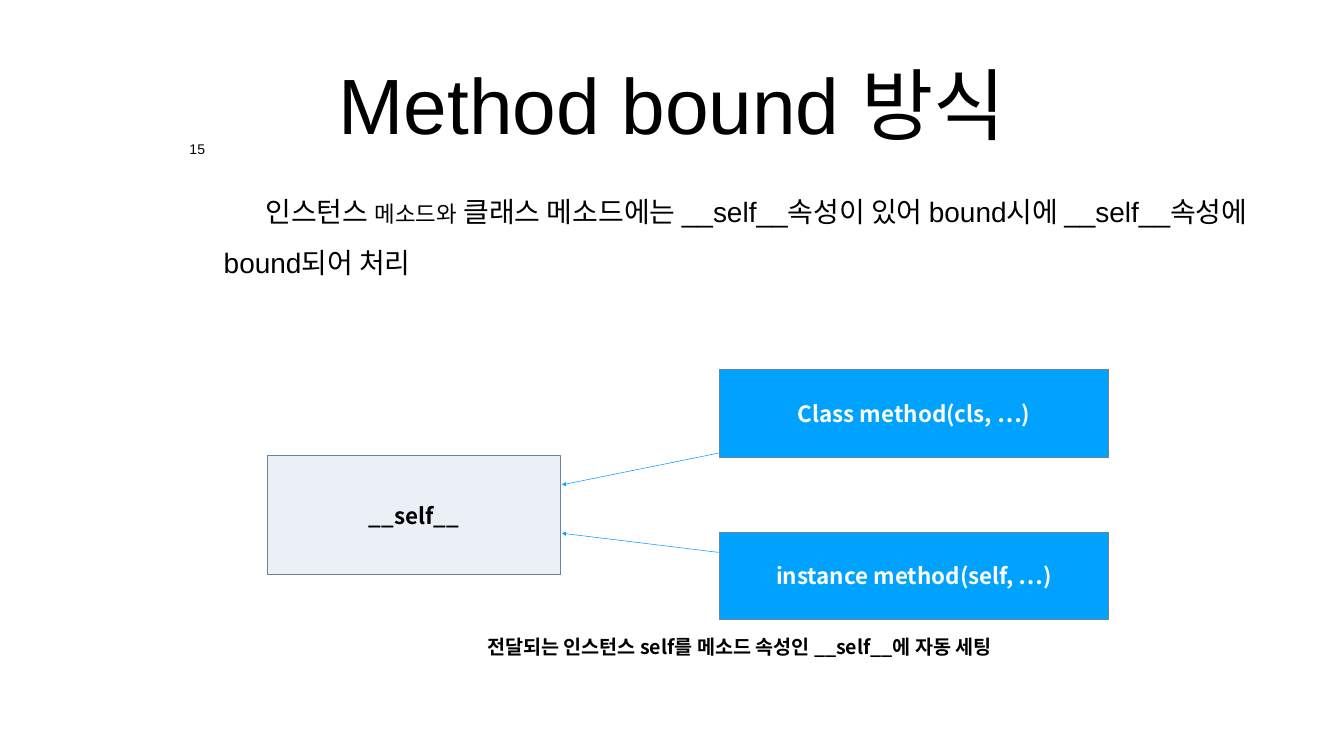
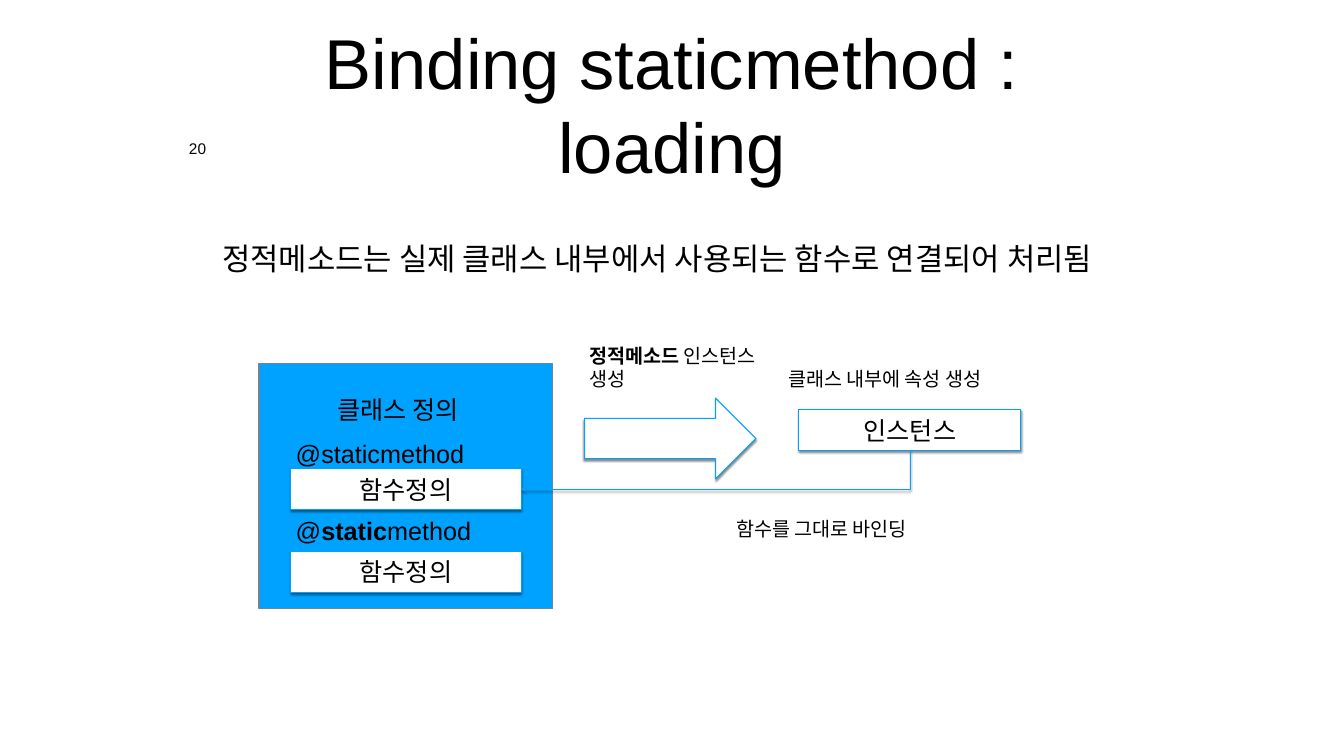
"""Build two slides on how Python methods are bound."""
from pptx import Presentation
from pptx.dml.color import RGBColor
from pptx.enum.shapes import MSO_CONNECTOR, MSO_SHAPE
from pptx.enum.text import MSO_ANCHOR, MSO_AUTO_SIZE, PP_ALIGN
from pptx.oxml import parse_xml
from pptx.oxml.ns import nsdecls, qn
from pptx.util import Pt

PX = 9144
BLUE, PALE, SLATE, BLACK, WHITE = "00A2FF", "EAF0F6", "6C8599", "000000", "FFFFFF"
SANS, KOREAN, MONO = "Arial", "Noto Sans CJK KR", "Noto Sans Mono"
NO_EFFECT = f"<a:effectLst {nsdecls('a')}/>"
SHADOW = (f"<a:effectLst {nsdecls('a')}><a:outerShdw blurRad='38100' dist='30480' dir='5400000' "
          "rotWithShape='0'><a:srgbClr val='000000'><a:alpha val='45000'/></a:srgbClr>"
          "</a:outerShdw></a:effectLst>")
color = RGBColor.from_string


def write(box, spans, size, font=SANS, ink=BLACK, bold=False, align=PP_ALIGN.LEFT,
          anchor=MSO_ANCHOR.TOP, inset=10, wrap=True):
    """Fill a box with one paragraph of (text, size, bold) spans and return it."""
    frame = box.text_frame
    frame.auto_size = MSO_AUTO_SIZE.NONE
    frame.word_wrap = wrap
    frame.vertical_anchor = anchor
    frame.margin_left = frame.margin_right = inset * PX
    frame.margin_top = frame.margin_bottom = inset * PX
    para = frame.paragraphs[0]
    para.alignment = align
    para.font.name, para.font.size, para.font.bold = font, Pt(size), bold
    para.font.color.rgb = color(ink)
    for text, span_size, span_bold in [(spans, None, None)] if isinstance(spans, str) else spans:
        span = para.add_run()
        span.text = text
        if span_size:
            span.font.size = Pt(span_size)
        if span_bold is not None:
            span.font.bold = span_bold
    return para


def add_block(page, bounds, fill, line, shadow=False, kind=MSO_SHAPE.RECTANGLE):
    """Add a filled, outlined shape and return it."""
    block = page.shapes.add_shape(kind, *[length * PX for length in bounds])
    block.shadow.inherit = False
    block.fill.solid()
    block.fill.fore_color.rgb = color(fill)
    block.line.color.rgb = color(line)
    block.line.width = Pt(1.5)
    if shadow:
        properties = block._element.spPr
        properties.replace(properties.find(qn("a:effectLst")), parse_xml(SHADOW))
    return block


deck = Presentation()
deck.slide_width, deck.slide_height = 2667 * PX, 1500 * PX

pages = []
for title, title_size, number, number_bounds, number_size in (
    ("Method bound 방식", 112, "15", (368, 278, 47, 43), 20),
    ("Binding staticmethod : loading", 100.8, "20", (367, 275, 50, 45), 22),
):
    page = deck.slides.add_slide(deck.slide_layouts[5])
    heading = page.shapes.title
    heading.left, heading.top, heading.width, heading.height = [
        length * PX for length in (480, 39, 1707, 332)]
    write(heading, title, title_size, align=PP_ALIGN.CENTER, anchor=MSO_ANCHOR.MIDDLE, inset=8)
    box = page.shapes.add_textbox(*[length * PX for length in number_bounds])
    para = write(box, number, number_size, align=PP_ALIGN.CENTER, inset=8, wrap=False)
    para.line_spacing = 0.8
    pages.append(page)
bound_page, static_page = pages

body = bound_page.shapes.add_textbox(436 * PX, 345 * PX, 2146 * PX, 308 * PX)
para = write(body, [
    ("인스턴스 ", None, None),
    ("메소드와", 32, None),
    (" 클래스 메소드에는 __self__속성이 있어 bound시에 __self__속성에 bound되어 처리", None, None),
], 40, inset=8)
para.line_spacing = 1.5
para._p.get_or_add_pPr().set("indent", str(83 * PX))

for text, bounds, fill, ink in (
    ("__self__", (530, 904, 583, 236), PALE, BLACK),
    ("Class method(cls, …)", (1428, 734, 772, 173), BLUE, WHITE),
    ("instance method(self, …)", (1428, 1056, 772, 173), BLUE, WHITE),
):
    write(add_block(bound_page, bounds, fill, SLATE), text, 32, KOREAN, ink, True,
          PP_ALIGN.CENTER, MSO_ANCHOR.MIDDLE)

caption = bound_page.shapes.add_textbox(908 * PX, 1254 * PX, 1119 * PX, 57 * PX)
write(caption, "전달되는 인스턴스 self를 메소드 속성인 __self__에 자동 세팅", 28, KOREAN,
      bold=True, align=PP_ALIGN.CENTER, inset=5)

body = static_page.shapes.add_textbox(433 * PX, 356 * PX, 1800 * PX, 299 * PX)
para = write(body, "정적메소드는 실제 클래스 내부에서 사용되는 함수로 연결되어 처리됨", 44,
             anchor=MSO_ANCHOR.MIDDLE, inset=8)
para.line_spacing = 1.2

add_block(static_page, (514, 721, 583, 486), BLUE, SLATE)
for text, bounds in (
    ("함수정의", (577, 930, 457, 81)),
    ("함수정의", (577, 1094, 457, 81)),
    ("인스턴스", (1585, 813, 441, 81)),
):
    write(add_block(static_page, bounds, WHITE, BLUE, True), text, 36, MONO,
          align=PP_ALIGN.CENTER, anchor=MSO_ANCHOR.MIDDLE)
add_block(static_page, (1160, 790, 340, 160), WHITE, BLUE, True, MSO_SHAPE.RIGHT_ARROW)

for spans, bounds, size, font, align in (
    ("클래스 정의", (577, 773, 425, 81), 36, MONO, PP_ALIGN.CENTER),
    ("@staticmethod", (577, 860, 425, 81), 36, SANS, PP_ALIGN.LEFT),
    ([("@", None, None), ("static", None, True), ("method", None, None)],
     (577, 1012, 425, 81), 36, SANS, PP_ALIGN.LEFT),
    ([("정적메소드 ", None, True), ("인스턴스 생성", None, None)],
     (1160, 672, 362, 114), 28, SANS, PP_ALIGN.LEFT),
    ("함수를 그대로 바인딩", (1451, 1015, 409, 67), 28, SANS, PP_ALIGN.LEFT),
    ("클래스 내부에 속성 생성", (1554, 718, 532, 67), 28, SANS, PP_ALIGN.LEFT),
):
    box = static_page.shapes.add_textbox(*[length * PX for length in bounds])
    write(box, spans, size, font, align=align)

for page, kind, ends, width, head, effect in (
    (bound_page, MSO_CONNECTOR.STRAIGHT, (1426, 899, 1115, 962), 0.79, "triangle", NO_EFFECT),
    (bound_page, MSO_CONNECTOR.STRAIGHT, (1426, 1096, 1115, 1058), 0.79, "triangle", NO_EFFECT),
    (static_page, MSO_CONNECTOR.ELBOW, (1382, 546, 1459, 1318), 1.5, "arrow", SHADOW),
):
    link = page.shapes.add_connector(kind, *[length * PX for length in ends])
    link.line.color.rgb = color(BLUE)
    link.line.width = Pt(width)
    properties = link._element.spPr
    properties.find(qn("a:ln")).append(parse_xml(f"<a:tailEnd {nsdecls('a')} type='{head}'/>"))
    properties.append(parse_xml(effect))
    if kind == MSO_CONNECTOR.ELBOW:
        properties.find(qn("a:prstGeom")).set("prst", "bentConnector2")
        properties.find(qn("a:xfrm")).set("rot", "5400000")

deck.save("out.pptx")
